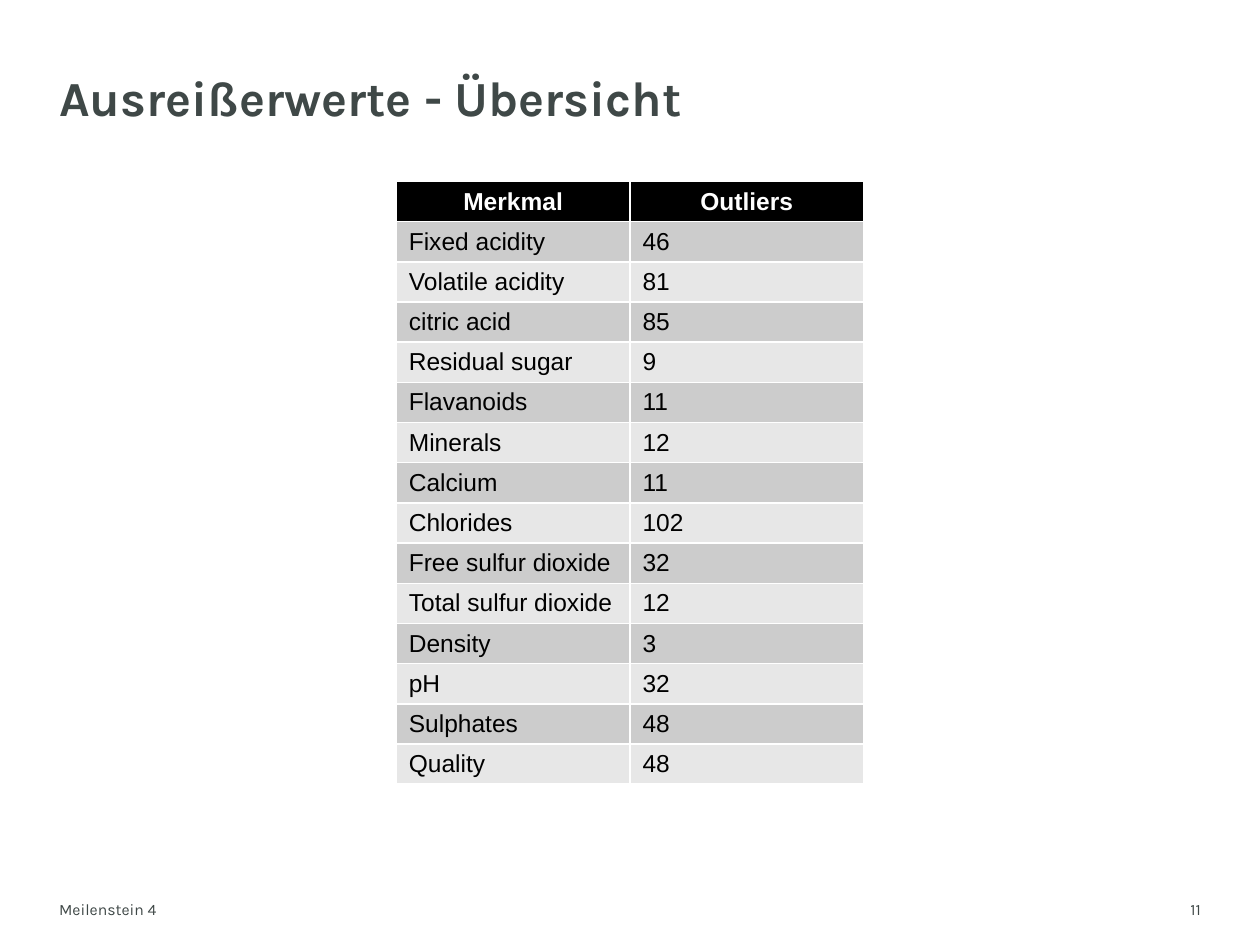
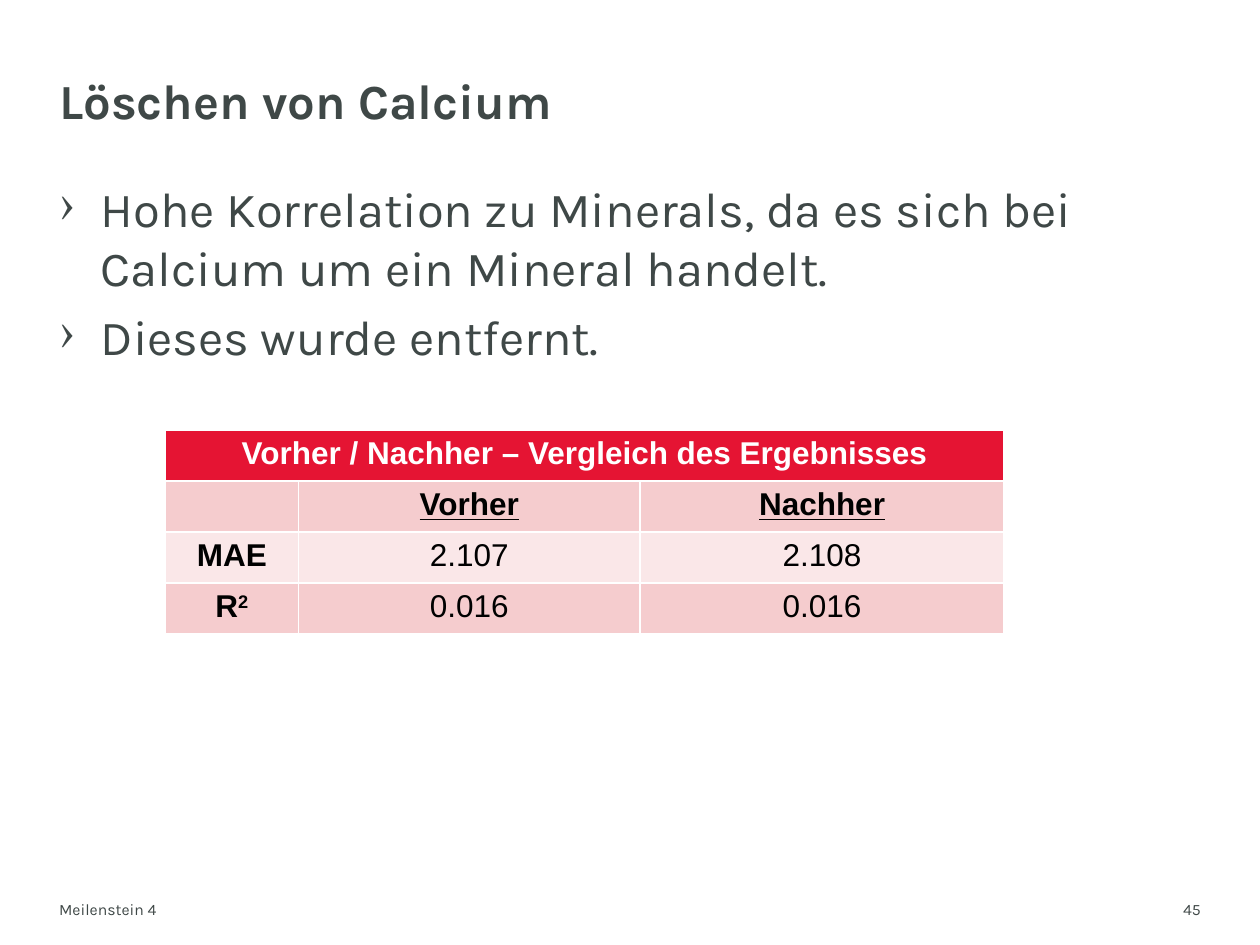
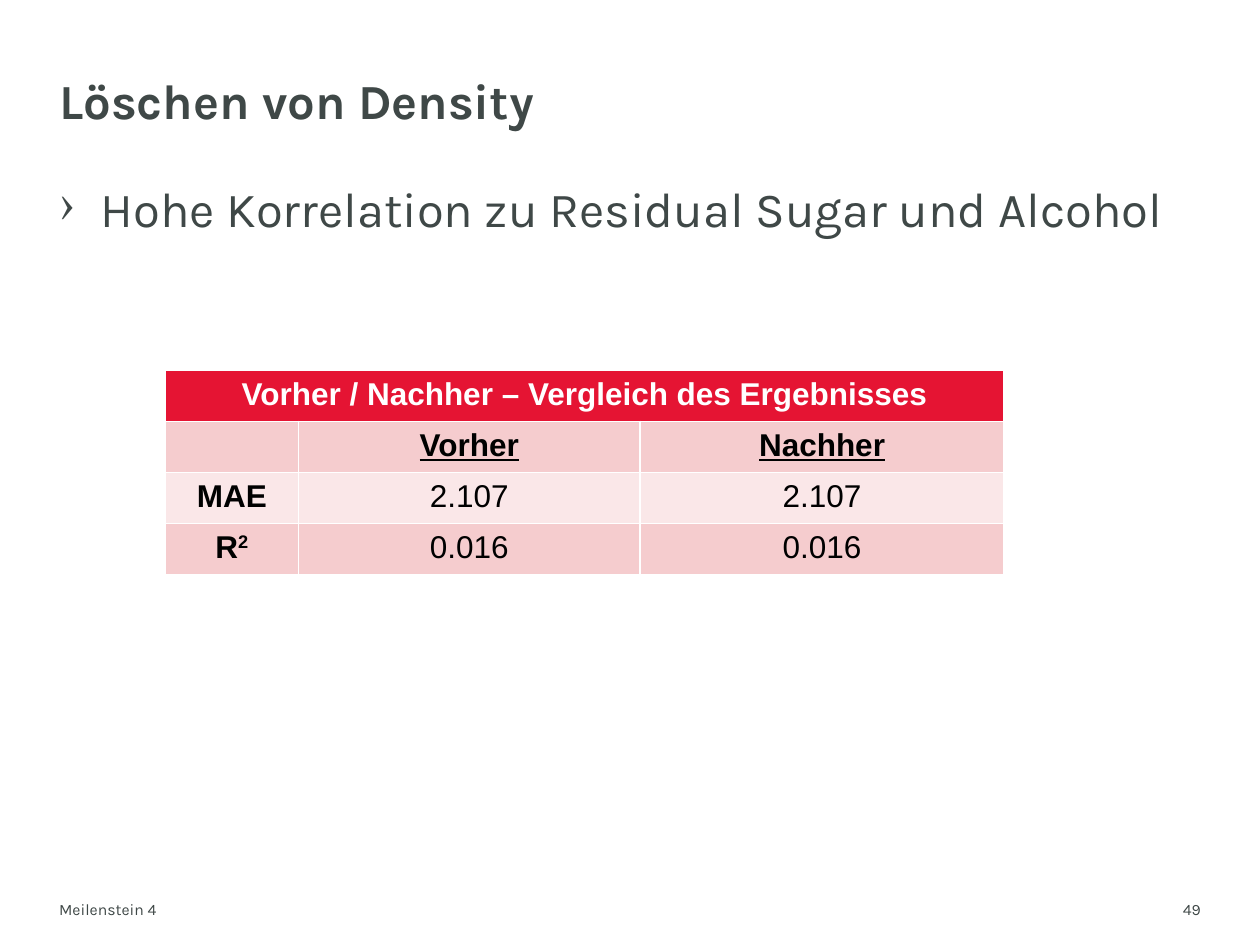
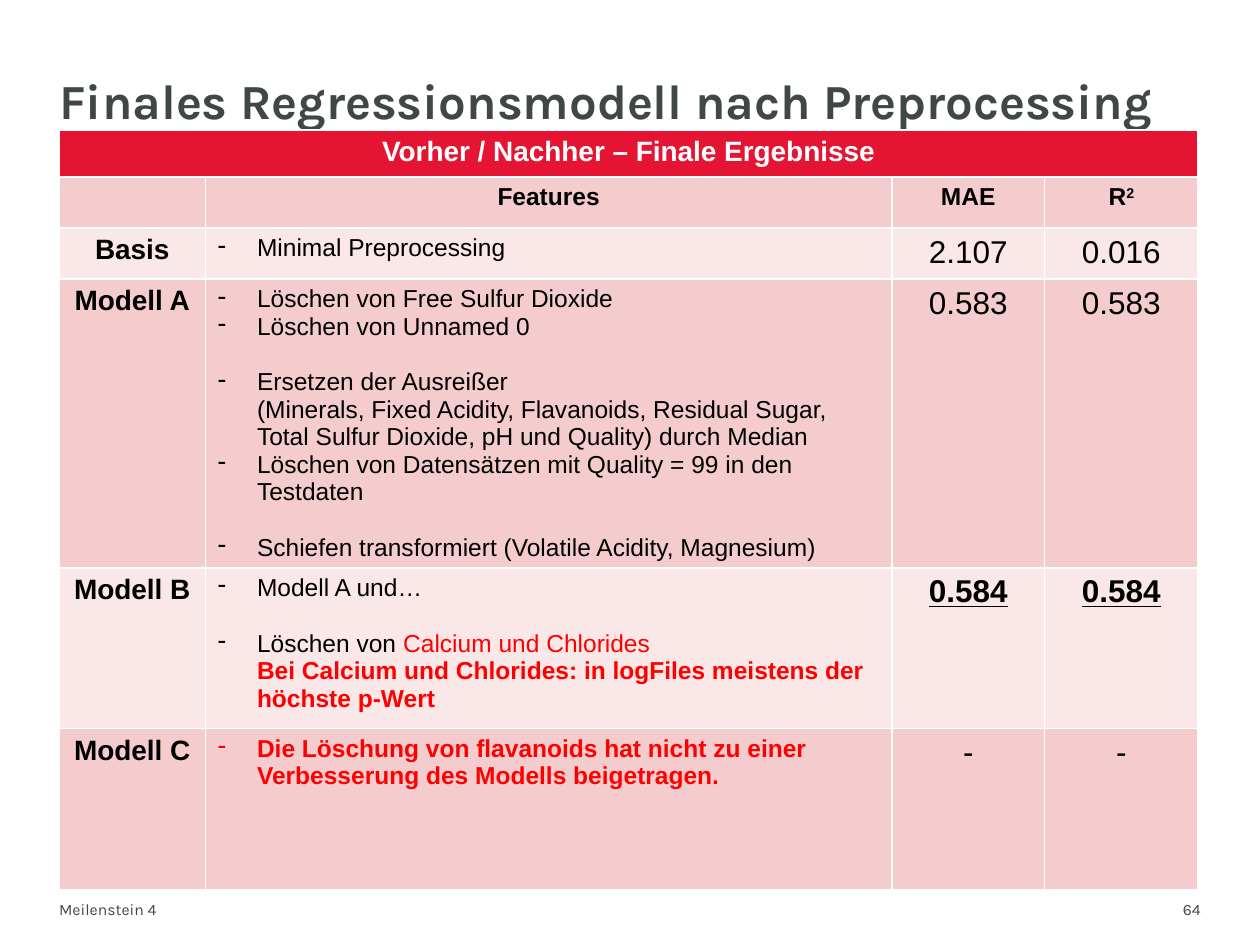
from dataclasses import dataclass, replace

import lxml.etree
import pptx
import pptx.dml.color
import pptx.enum.text
import pptx.oxml.ns
import pptx.util

ALIGN = pptx.enum.text.PP_ALIGN
ANCHOR = pptx.enum.text.MSO_ANCHOR
WIDTH, HEIGHT = pptx.util.Inches(10), pptx.util.Inches(7.5)


@dataclass(frozen=True)
class Style:
    size: float
    color: str = "000000"
    bold: bool = False
    underline: bool = False
    raised: bool = False
    font: str = "Arial"


@dataclass(frozen=True)
class Theme:
    title: Style = Style(28, "3F4847", bold=True, font="Karla")
    body: Style = Style(28, "3F4847", font="Karla")
    footer: Style = Style(9, "3F4847", font="Karla")
    large: Style = Style(18)
    medium: Style = Style(16, bold=True)
    small: Style = Style(14)
    white: str = "FFFFFF"
    alert: str = "FF0000"
    # header fill, then the two alternating row fills
    grey: tuple = ("000000", "CCCCCC", "E7E7E7")
    red: tuple = ("E51433", "F5CCCE", "FAE7E8")
    margin: float = 4.7
    content: float = 90.5


THEME = Theme()


@dataclass(frozen=True)
class Para:
    spans: tuple  # (text, Style) pairs
    align: ALIGN = ALIGN.LEFT
    bullet: str = ""
    indent: float = 0
    before: float = 0


def x(percent):
    return round(WIDTH * percent / 100)


def y(percent):
    return round(HEIGHT * percent / 100)


def strong(style):
    return replace(style, bold=True)


def centred(text, style):
    return [Para(((text, style),), ALIGN.CENTER)]


def r_squared(style):
    spans = (("R", style), ("2", replace(style, raised=True)))
    return [Para(spans, ALIGN.CENTER)]


def dash(*spans, before=0):
    return Para(spans, bullet="-", indent=0.31, before=before)


def format_run(r, style):
    r.font.name = style.font
    r.font.size = pptx.util.Pt(style.size)
    r.font.bold = style.bold
    r.font.underline = style.underline
    r.font.color.rgb = pptx.dml.color.RGBColor.from_string(style.color)
    if style.raised:
        r.font._element.set("baseline", "30000")


def add_break(p, style):
    """Line break that keeps the type size of its line."""
    p.add_line_break()
    br = p._p.findall(pptx.oxml.ns.qn("a:br"))[-1]
    lxml.etree.SubElement(br, pptx.oxml.ns.qn("a:rPr"), sz=str(style.size * 100))


def write(tf, paras):
    for i, para in enumerate(paras):
        p = tf.add_paragraph() if i else tf.paragraphs[0]
        if para.bullet:
            pPr = p._p.get_or_add_pPr()
            indent = pptx.util.Inches(para.indent)
            pPr.set("marL", str(indent))
            pPr.set("indent", str(-indent))
            lxml.etree.SubElement(pPr, pptx.oxml.ns.qn("a:buChar"), char=para.bullet)
        p.alignment = para.align
        if para.before:
            p.space_before = pptx.util.Pt(para.before)
        for text, style in para.spans:
            for n, line in enumerate(text.split("\n")):
                if n:
                    add_break(p, style)
                if line:
                    r = p.add_run()
                    r.text = line
                    format_run(r, style)


def clear_frame(tf, anchor):
    tf.margin_left = tf.margin_right = tf.margin_top = tf.margin_bottom = 0
    tf.auto_size = pptx.enum.text.MSO_AUTO_SIZE.NONE
    tf.word_wrap = True
    tf.vertical_anchor = anchor


def add_text(slide, left, top, width, height, paras, anchor=ANCHOR.BOTTOM):
    sp = slide.shapes.add_textbox(x(left), y(top), x(width), y(height))
    clear_frame(sp.text_frame, anchor)
    write(sp.text_frame, paras)


def add_slide(prs, title, number, title_top=3.2):
    slide = prs.slides.add_slide(prs.slide_layouts[5])
    sp = slide.shapes.title
    sp.left, sp.top, sp.width, sp.height = x(THEME.margin), y(title_top), x(90), y(10.5)
    clear_frame(sp.text_frame, ANCHOR.BOTTOM)
    write(sp.text_frame, [Para(((title, THEME.title),))])
    sp.text_frame.paragraphs[0].line_spacing = pptx.util.Pt(30)
    add_text(slide, 87.8, 91.9, 7.5, 5.3,
             [Para(((str(number), THEME.footer),), ALIGN.RIGHT)])
    add_text(slide, THEME.margin, 94.4, 80, 2.8, [Para((("Meilenstein 4", THEME.footer),))])
    return slide


def add_bullets(slide, lines):
    paras = [Para(((line, THEME.body),), bullet="›", indent=0.33, before=5.6 if i else 0)
             for i, line in enumerate(lines)]
    add_text(slide, THEME.margin, 18.9, THEME.content, 74.8, paras, ANCHOR.TOP)


def add_table(slide, left, top, cols, row_heights, rows, fills):
    """Table with a header row and bands; a lone header cell spans all columns."""
    frame = slide.shapes.add_table(len(rows), len(cols), x(left), y(top),
                                   x(sum(cols)), y(sum(row_heights)))
    table = frame.table
    for column, width in zip(table.columns, cols):
        column.width = x(width)
    for i, (row, height) in enumerate(zip(rows, row_heights)):
        table.rows[i].height = y(height)
        fill = fills[0] if i == 0 else fills[2 - i % 2]
        for cell in table.rows[i].cells:
            cell.fill.solid()
            cell.fill.fore_color.rgb = pptx.dml.color.RGBColor.from_string(fill)
        for j, paras in enumerate(row):
            write(table.cell(i, j).text_frame, paras)
    if len(rows[0]) == 1:
        table.cell(0, 0).merge(table.cell(0, len(cols) - 1))


def add_outlier_table(slide, outliers):
    head = replace(THEME.small, color=THEME.white, bold=True)
    rows = [[centred("Merkmal", head), centred("Outliers", head)]]
    rows += [[[Para(((text, THEME.small),))] for text in (name, str(count))]
             for name, count in outliers]
    add_table(slide, 31.45, 19.2, [18.55] * 2, [4.25] * len(rows), rows, THEME.grey)


def add_comparison(slide, top, mae, r2):
    """Results before and after; mae and r2 are (before, after) pairs."""
    value, label = THEME.large, strong(THEME.large)
    heading = replace(label, underline=True)
    rows = [
        [centred("Vorher / Nachher – Vergleich des Ergebnisses",
                 replace(label, color=THEME.white))],
        [[], centred("Vorher", heading), centred("Nachher", heading)],
        [centred("MAE", label)] + [centred(v, value) for v in mae],
        [r_squared(label)] + [centred(v, value) for v in r2],
    ]
    add_table(slide, 13.1, top, [10.6, 27.1, 28.9], [5.4] * 4, rows, THEME.red)


def add_final_results(slide):
    text, value, label = THEME.small, THEME.large, THEME.medium
    alert = replace(text, color=THEME.alert)
    best = replace(value, bold=True, underline=True)
    gap = 16
    model_a = [
        dash(("Löschen von Free Sulfur Dioxide", text)),
        dash(("Löschen von Unnamed 0", text)),
        dash(("Ersetzen der Ausreißer\n(Minerals, Fixed Acidity, Flavanoids, Residual Sugar, "
              "Total Sulfur Dioxide, pH und Quality) durch Median", text), before=gap),
        dash(("Löschen von Datensätzen mit Quality = 99 in den Testdaten", text)),
        dash(("Schiefen transformiert (Volatile Acidity, Magnesium)", text), before=gap),
    ]
    model_b = [
        dash(("Modell A und…", text)),
        dash(("Löschen von ", text), ("Calcium und Chlorides\n", alert),
             ("Bei Calcium und Chlorides: in logFiles meistens der höchste p-Wert",
              strong(alert)), before=gap),
    ]
    model_c = [dash(("Die Löschung von flavanoids hat nicht zu einer Verbesserung "
                     "des Modells beigetragen.", strong(alert)))]
    models = [
        ("Basis", [dash(("Minimal Preprocessing", text))], "2.107", "0.016", value),
        ("Modell A", model_a, "0.583", "0.583", value),
        ("Modell B", model_b, "0.584", "0.584", best),
        ("Modell C", model_c, "-", "-", value),
    ]
    rows = [
        [centred("Vorher / Nachher – Finale Ergebnisse", replace(label, color=THEME.white))],
        [[], centred("Features", strong(text)), centred("MAE", strong(text)),
         r_squared(strong(text))],
    ]
    rows += [[centred(name, label), features, centred(mae, style), centred(r2, style)]
             for name, features, mae, r2, style in models]
    add_table(slide, THEME.margin, 13.75, [11.6, 54.5, 12.1, 12.2],
              [5, 5.4, 5.4, 30.5, 17, 17], rows, THEME.red)


def main():
    prs = pptx.Presentation()
    prs.slide_width, prs.slide_height = WIDTH, HEIGHT

    slide = add_slide(prs, "Ausreißerwerte - Übersicht", 11, title_top=2.9)
    add_outlier_table(slide, [
        ("Fixed acidity", 46), ("Volatile acidity", 81), ("citric acid", 85),
        ("Residual sugar", 9), ("Flavanoids", 11), ("Minerals", 12), ("Calcium", 11),
        ("Chlorides", 102), ("Free sulfur dioxide", 32), ("Total sulfur dioxide", 12),
        ("Density", 3), ("pH", 32), ("Sulphates", 48), ("Quality", 48),
    ])

    slide = add_slide(prs, "Löschen von Calcium", 45)
    add_bullets(slide, [
        "Hohe Korrelation zu Minerals, da es sich bei Calcium um ein Mineral handelt.",
        "Dieses wurde entfernt.",
    ])
    add_comparison(slide, 45.5, ("2.107", "2.108"), ("0.016", "0.016"))

    slide = add_slide(prs, "Löschen von Density", 49)
    add_bullets(slide, ["Hohe Korrelation zu Residual Sugar und Alcohol"])
    add_comparison(slide, 39.2, ("2.107", "2.107"), ("0.016", "0.016"))

    slide = add_slide(prs, "Finales Regressionsmodell nach Preprocessing", 64)
    add_final_results(slide)

    prs.save("out.pptx")


if __name__ == "__main__":
    main()
